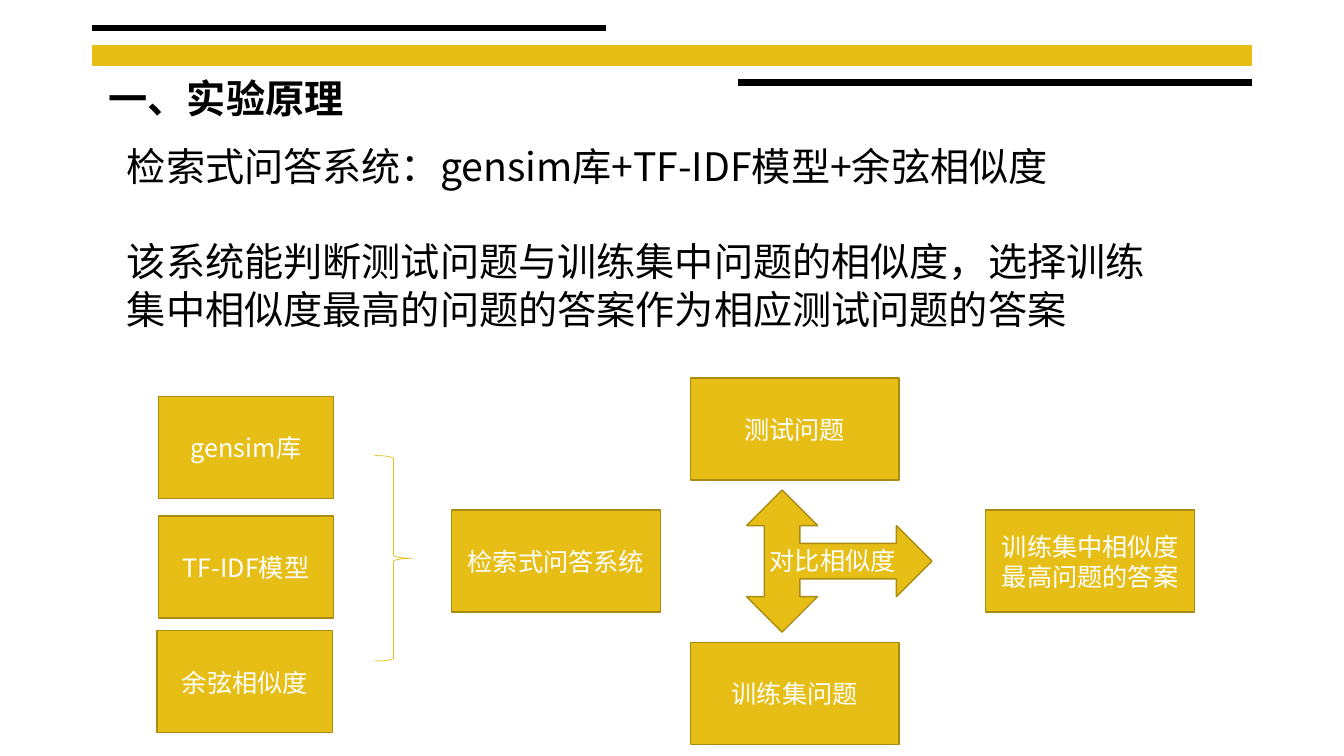
from lxml.etree import SubElement
from pptx import Presentation
from pptx.dml.color import RGBColor
from pptx.enum.shapes import MSO_CONNECTOR, MSO_SHAPE
from pptx.enum.text import MSO_ANCHOR, MSO_AUTO_SIZE, PP_ALIGN
from pptx.oxml.ns import qn
from pptx.util import Cm, Pt

TITLE = "一、实验原理"
BODY = [
    "检索式问答系统：gensim库+TF-IDF模型+余弦相似度",
    "该系统能判断测试问题与训练集中问题的相似度，选择训练集中相似度最高的问题的答案作为相应测试问题的答案",
]
COMPARISON = "对比相似度"

MIDDLE = 14.14
BRANCH = 3.33
NARROW, WIDE, BOX_HEIGHT = 4.42, 5.26, 2.57
BOXES = [
    ("gensim库", 6.2, 11.27, NARROW),
    ("TF-IDF模型", 6.2, 14.29, NARROW),
    ("余弦相似度", 6.17, 17.18, NARROW),
    ("检索式问答系统", 14.01, MIDDLE, WIDE),
    ("测试问题", 20.03, MIDDLE - BRANCH, WIDE),
    ("训练集问题", 20.03, MIDDLE + BRANCH, WIDE),
    ("训练集中相似度最高问题的答案", 27.47, MIDDLE, WIDE),
]


class Theme:
    font = "Noto Sans CJK SC"
    black = RGBColor(0x00, 0x00, 0x00)
    white = RGBColor(0xFF, 0xFF, 0xFF)
    gold = RGBColor(0xE6, 0xBE, 0x16)
    dark_gold = RGBColor(0xAA, 0x8D, 0x10)
    heading_size = 28
    label_size = 18
    line_height = 1.22


RULES = [
    (2.33, 15.27, 0.71, Theme.black, 4.5),
    (2.33, 31.54, 1.4, Theme.gold, 15),
    (18.6, 31.54, 2.08, Theme.black, 4.5),
]


def write_text(shape, *texts, size=Theme.label_size, color=Theme.white,
               bold=False, align=PP_ALIGN.LEFT, anchor=MSO_ANCHOR.TOP, gap=0):
    frame = shape.text_frame
    frame.word_wrap = True
    frame.vertical_anchor = anchor
    for index, text in enumerate(texts):
        paragraph = frame.add_paragraph() if index else frame.paragraphs[0]
        paragraph.alignment = align
        paragraph.line_spacing = Pt(size * Theme.line_height)
        paragraph.space_before = Pt(gap if index else 0)
        run = paragraph.add_run()
        run.text = text
        run.font.name = Theme.font
        run.font.size = Pt(size)
        run.font.bold = bold
        run.font.color.rgb = color
        SubElement(run.font._element, qn("a:ea"), typeface=Theme.font)


def add_text_box(slide, left, top, width, height, *texts, **style):
    box = slide.shapes.add_textbox(Cm(left), Cm(top), Cm(width), Cm(height))
    write_text(box, *texts, **style)
    box.text_frame.auto_size = MSO_AUTO_SIZE.SHAPE_TO_FIT_TEXT


def add_centered_shape(slide, kind, center_x, center_y, width, height,
                       fill=Theme.gold, line=Theme.dark_gold, weight=1):
    shape = slide.shapes.add_shape(
        kind, Cm(center_x - width / 2), Cm(center_y - height / 2), Cm(width), Cm(height))
    shape.shadow.inherit = False
    if fill is None:
        shape.fill.background()
    else:
        shape.fill.solid()
        shape.fill.fore_color.rgb = fill
    shape.line.color.rgb = line
    shape.line.width = Pt(weight)
    return shape


def add_rule(slide, start, end, y, color, weight):
    rule = slide.shapes.add_connector(
        MSO_CONNECTOR.STRAIGHT, Cm(start), Cm(y), Cm(end), Cm(y))
    rule.line.color.rgb = color
    rule.line.width = Pt(weight)
    SubElement(rule._element.spPr, qn("a:effectLst"))


def main():
    presentation = Presentation()
    presentation.slide_width = Cm(33.87)
    presentation.slide_height = Cm(19.05)
    slide = presentation.slides.add_slide(presentation.slide_layouts[6])

    for rule in RULES:
        add_rule(slide, *rule)

    add_text_box(slide, 2.49, 1.73, 10.59, 1.45, TITLE,
                 size=Theme.heading_size, color=Theme.black, bold=True)
    add_text_box(slide, 2.95, 3.43, 26.87, 5.05, *BODY,
                 size=Theme.heading_size, color=Theme.black,
                 gap=Theme.heading_size * Theme.line_height)

    for label, center_x, center_y, width in BOXES:
        box = add_centered_shape(slide, MSO_SHAPE.FLOWCHART_PROCESS,
                                 center_x, center_y, width, BOX_HEIGHT)
        write_text(box, label, align=PP_ALIGN.CENTER, anchor=MSO_ANCHOR.MIDDLE)

    add_centered_shape(slide, MSO_SHAPE.RIGHT_BRACE, 9.92, 14.07, 0.94, 5.18,
                       fill=None, line=Theme.gold, weight=0.5)
    arrow = add_centered_shape(slide, MSO_SHAPE.LEFT_RIGHT_UP_ARROW,
                               21.15, MIDDLE, 3.58, 4.67)
    arrow.rotation = 90
    add_text_box(slide, 19.15, 13.61, 4.8, 1.02, COMPARISON)

    presentation.save("out.pptx")


if __name__ == "__main__":
    main()
